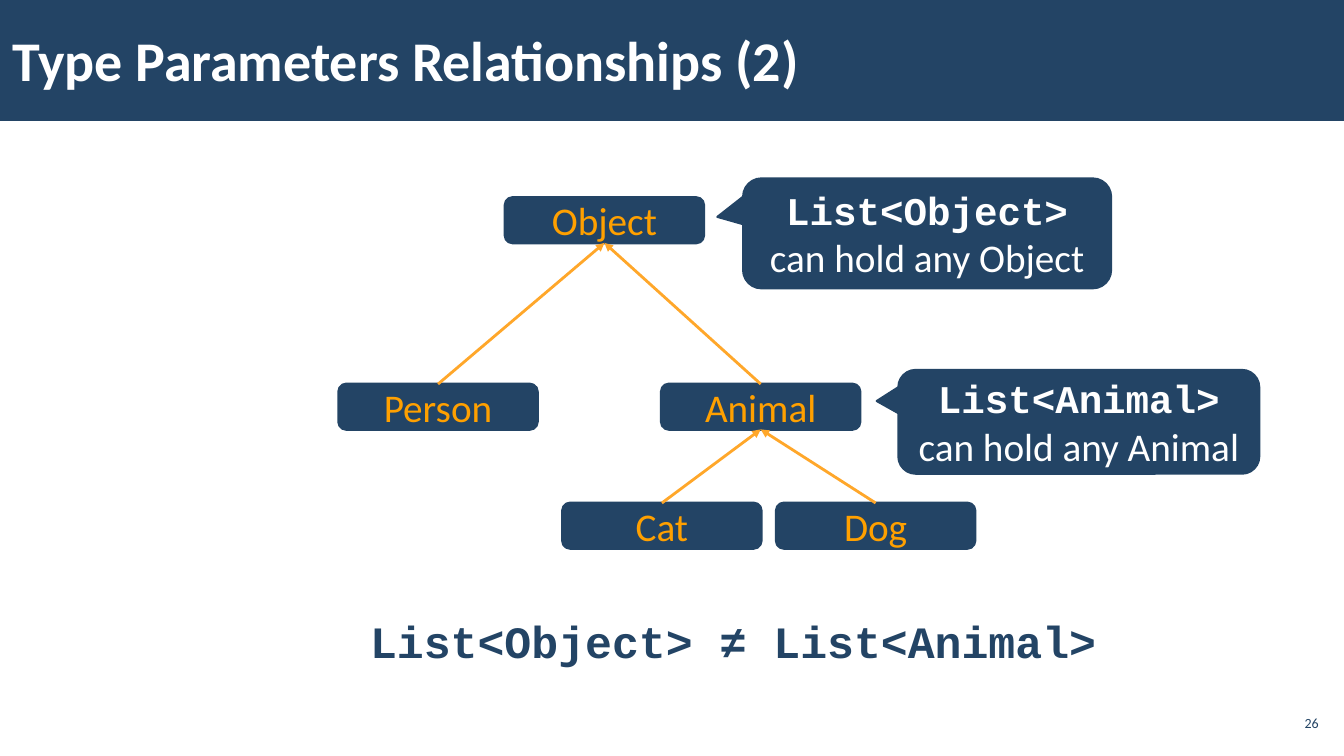
"""Build a slide on how generic type parameters relate to a class hierarchy."""
import dataclasses

import lxml.etree
import pptx
import pptx.dml.color
import pptx.enum.shapes
import pptx.enum.text
import pptx.oxml.ns
import pptx.util

Inches = pptx.util.Inches
Shapes = pptx.enum.shapes.MSO_SHAPE
Align = pptx.enum.text.PP_ALIGN
Anchor = pptx.enum.text.MSO_ANCHOR
qn = pptx.oxml.ns.qn

COLOURS = {"navy": "234465", "white": "FFFFFF", "orange": "FFA000", "arrow": "FFA72A"}
SANS, MONO = "Calibri", "Courier New"
NODE_WIDTH, NODE_HEIGHT = 1.97, 0.45


@dataclasses.dataclass(frozen=True)
class Node:
    name: str
    left: float
    top: float
    parent: str = ""


@dataclasses.dataclass(frozen=True)
class Callout:
    type_name: str
    left: float
    top: float
    width: float
    height: float
    tip: tuple[float, float]


NODES = [
    Node("Object", 5.01, 1.96),
    Node("Person", 3.36, 3.81, "Object"),
    Node("Animal", 6.56, 3.81, "Object"),
    Node("Cat", 5.58, 4.99, "Animal"),
    Node("Dog", 7.7, 4.99, "Animal"),
]
CALLOUTS = [
    Callout("Object", 7.37, 1.77, 3.65, 1.09, (-0.57, -0.15)),
    Callout("Animal", 8.91, 3.67, 3.58, 1.03, (-0.56, -0.2)),
]


def colour(name: str) -> pptx.dml.color.RGBColor:
    """Return a named colour."""
    return pptx.dml.color.RGBColor.from_string(COLOURS[name])


def style(span, size: float, font: str, tint: str, bold: bool = False) -> None:
    """Format one run of text."""
    span.font.size = pptx.util.Pt(size)
    span.font.name = font
    span.font.bold = bold
    span.font.color.rgb = colour(tint)


def place(box, left: float, top: float, width: float, height: float) -> None:
    """Move and size a box."""
    box.left, box.top = Inches(left), Inches(top)
    box.width, box.height = Inches(width), Inches(height)


def add_box(page, kind, left: float, top: float, width: float, height: float, line: float = 0):
    """Add a navy shape with centred text, outlined if a line width is given."""
    box = page.shapes.add_shape(kind, Inches(left), Inches(top), Inches(width), Inches(height))
    box.shadow.inherit = False
    box.fill.solid()
    box.fill.fore_color.rgb = colour("navy")
    if line:
        box.line.color.rgb = colour("navy")
        box.line.width = pptx.util.Pt(line)
    else:
        box.line.fill.background()
    box.text_frame.word_wrap = True
    box.text_frame.vertical_anchor = Anchor.MIDDLE
    box.text_frame.paragraphs[0].alignment = Align.CENTER
    return box


def add_node(page, node: Node):
    """Add the box of one class."""
    box = add_box(page, Shapes.ROUNDED_RECTANGLE, node.left, node.top, NODE_WIDTH, NODE_HEIGHT, 2)
    para = box.text_frame.paragraphs[0]
    para.text = node.name
    style(para.runs[0], 28, SANS, "orange")
    return box


def add_callout(page, callout: Callout) -> None:
    """Add the callout that tells what a list can hold."""
    box = add_box(page, Shapes.ROUNDED_RECTANGULAR_CALLOUT, callout.left, callout.top,
                  callout.width, callout.height, 1.5)
    box.adjustments[0], box.adjustments[1] = callout.tip
    para = box.text_frame.paragraphs[0]
    para.text = f"List<{callout.type_name}>"
    style(para.runs[0], 28, MONO, "white", True)
    span = para.add_run()
    span.text = f" can hold any {callout.type_name}"
    style(span, 28, SANS, "white")


def add_arrow(page, child, parent) -> None:
    """Join the top of a child to the bottom of its parent."""
    arrow = page.shapes.add_connector(pptx.enum.shapes.MSO_CONNECTOR.STRAIGHT, 0, 0, 0, 0)
    arrow.begin_connect(child, 0)
    arrow.end_connect(parent, 2)
    arrow.line.color.rgb = colour("arrow")
    arrow.line.width = pptx.util.Pt(2)
    line = arrow.line.fill and arrow.element.spPr.find(qn("a:ln"))
    lxml.etree.SubElement(line, qn("a:tailEnd"), type="triangle")
    lxml.etree.SubElement(arrow.element.spPr, qn("a:effectLst"))


def add_title(page) -> None:
    """Fill the title and lay its bar behind it."""
    title = page.shapes.title
    place(title, 0, -0.02, 10.47, 1.21)
    frame = title.text_frame
    frame.text = "Type Parameters Relationships (2)"
    frame.vertical_anchor = Anchor.MIDDLE
    frame.margin_left = frame.margin_right = Inches(0.12)
    frame.margin_top = frame.margin_bottom = Inches(0.04)
    frame.paragraphs[0].alignment = Align.LEFT
    style(frame.paragraphs[0].runs[0], 40, SANS, "white", True)
    bar = add_box(page, Shapes.RECTANGLE, 0, 0, 13.33, 1.2)
    title.element.addprevious(bar.element)


def add_conclusion(page) -> None:
    """Fill the body with the conclusion, without a bullet."""
    body = page.placeholders[1]
    place(body, 3.57, 6.01, 9.55, 0.83)
    frame = body.text_frame
    frame.text = "List<Object> ≠ List<Animal>"
    frame.auto_size = pptx.enum.text.MSO_AUTO_SIZE.NONE
    para = frame.paragraphs[0]
    para.line_spacing = 1.05
    para.space_before = para.space_after = pptx.util.Pt(6)
    style(para.runs[0], 32, MONO, "navy", True)
    properties = para.runs[0].font and para.line_spacing and body.element.find(".//" + qn("a:pPr"))
    properties.set("marL", "0")
    properties.set("indent", "0")
    lxml.etree.SubElement(properties, qn("a:buNone"))


def add_page_number(page) -> None:
    """Add the page number."""
    box = page.shapes.add_textbox(Inches(12.65), Inches(7), Inches(0.47), Inches(0.34))
    frame = box.text_frame
    frame.text = "26"
    frame.word_wrap = True
    frame.vertical_anchor = Anchor.MIDDLE
    frame.margin_left = frame.margin_right = Inches(0.04)
    frame.margin_top = frame.margin_bottom = Inches(0.04)
    frame.paragraphs[0].alignment = Align.RIGHT
    style(frame.paragraphs[0].runs[0], 10, SANS, "navy")


def main() -> None:
    """Build and save the deck."""
    deck = pptx.Presentation()
    deck.slide_width, deck.slide_height = Inches(13.33), Inches(7.5)
    page = deck.slides.add_slide(deck.slide_layouts[1])
    add_title(page)
    add_conclusion(page)
    add_page_number(page)
    boxes = {node.name: add_node(page, node) for node in NODES}
    for callout in CALLOUTS:
        add_callout(page, callout)
    for node in NODES:
        if node.parent:
            add_arrow(page, boxes[node.name], boxes[node.parent])
    deck.save("out.pptx")


if __name__ == "__main__":
    main()
